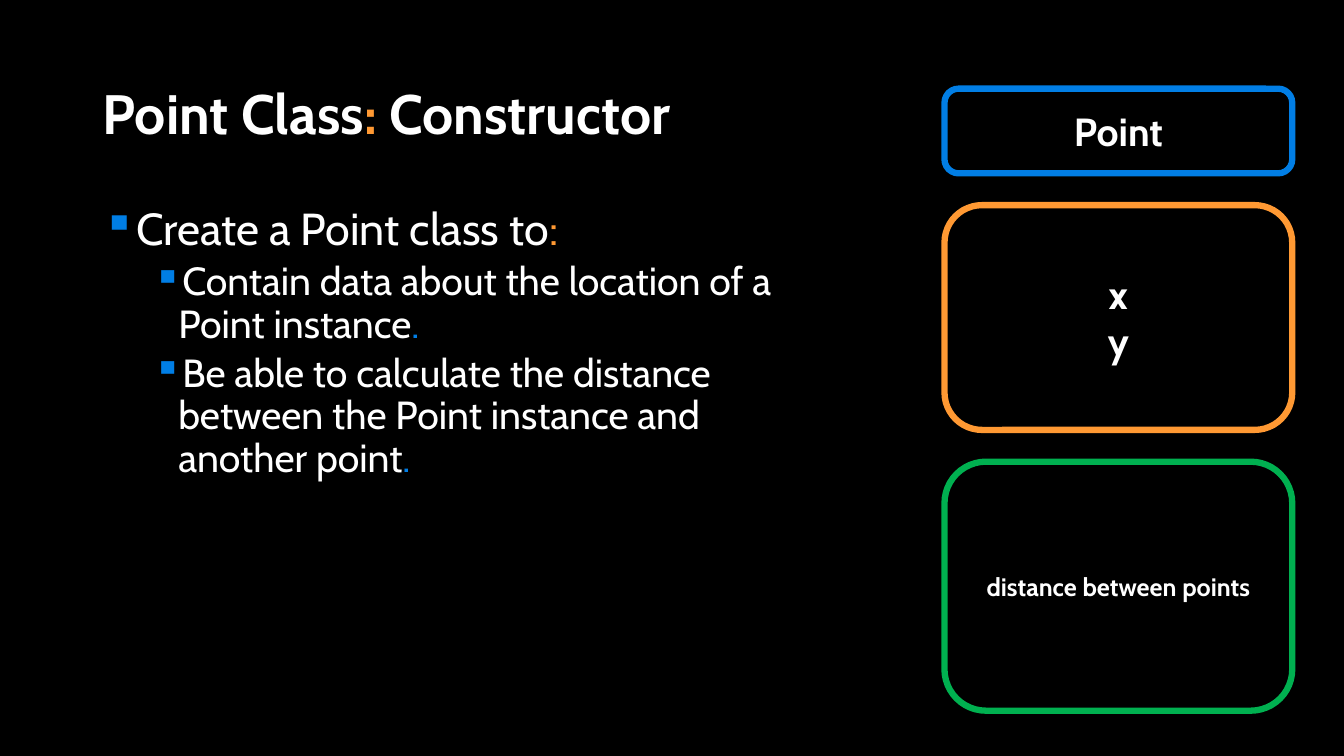
from lxml.etree import SubElement
from pptx import Presentation
from pptx.dml.color import RGBColor
from pptx.enum.shapes import MSO_SHAPE as Shape
from pptx.enum.text import MSO_ANCHOR as Anchor, PP_ALIGN as Align
from pptx.oxml.ns import qn
from pptx.util import Pt

COLORS = {
    "background": "000000",
    "text": "FFFFFF",
    "blue": "017EE5",
    "bullet": "007EE5",
    "orange": "FF9933",
    "green": "00B050",
}


def color(name):
    return RGBColor.from_string(COLORS[name])


class ClassSlide:
    """A dark page with a text side and a stack of outlined boxes."""

    font_name = "Cabin"
    line_width = 4.5

    def __init__(self, deck):
        self.page = deck.slides.add_slide(deck.slide_layouts[6])
        fill = self.page.background.fill
        fill.solid()
        fill.fore_color.rgb = color("background")

    def add_spans(self, para, spans, size, bold=False):
        """Fill a paragraph with (text, colour name) spans."""
        para.font.name = self.font_name
        para.font.size = Pt(size)
        para.font.bold = bold
        for text, color_name in spans:
            span = para.add_run()
            span.text = text
            span.font.color.rgb = color(color_name)

    def text_frame(self, left, top, width, height, anchor):
        box = self.page.shapes.add_textbox(Pt(left), Pt(top), Pt(width), Pt(height))
        frame = box.text_frame
        frame.word_wrap = True
        frame.vertical_anchor = anchor
        return frame

    def title(self, spans, *area):
        para = self.text_frame(*area, Anchor.MIDDLE).paragraphs[0]
        para.line_spacing = 0.9
        self.add_spans(para, spans, 39.6, bold=True)

    def bullets(self, items, *area):
        """Add a list of (level, spans) items."""
        frame = self.text_frame(*area, Anchor.TOP)
        for index, (level, spans) in enumerate(items):
            para = frame.add_paragraph() if index else frame.paragraphs[0]
            para.level = level
            para.line_spacing = 0.9
            para.space_before = Pt(5 if level else 10)
            self.add_bullet(para, indent=18 + 36 * level)
            self.add_spans(para, spans, 28 if level else 32)

    def add_bullet(self, para, indent):
        props = para._p.get_or_add_pPr()
        props.set("marL", str(Pt(indent)))
        props.set("indent", str(-Pt(18)))
        bullet_color = SubElement(props, qn("a:buClr"))
        SubElement(bullet_color, qn("a:srgbClr"), val=COLORS["bullet"])
        SubElement(props, qn("a:buChar"), char="▪")

    def outlined_box(self, lines, size, line_color, left, top, width, height):
        box = self.page.shapes.add_shape(
            Shape.ROUNDED_RECTANGLE, Pt(left), Pt(top), Pt(width), Pt(height))
        box.shadow.inherit = False
        box.fill.background()
        box.line.color.rgb = color(line_color)
        box.line.width = Pt(self.line_width)
        frame = box.text_frame
        frame.word_wrap = True
        frame.vertical_anchor = Anchor.MIDDLE
        for index, line in enumerate(lines):
            para = frame.add_paragraph() if index else frame.paragraphs[0]
            para.alignment = Align.CENTER
            self.add_spans(para, [(line, "text")], size, bold=True)


def main():
    deck = Presentation()
    deck.slide_width, deck.slide_height = Pt(960), Pt(540)
    slide = ClassSlide(deck)

    slide.title(
        [("Point Class", "text"), (":", "orange"), (" Constructor", "text")],
        66.24, 57.6, 828, 51.84)
    slide.bullets([
        (0, [("Create a Point class to", "text"), (":", "orange")]),
        (1, [("Contain data about the location of a Point instance", "text"),
             (".", "blue")]),
        (1, [("Be able to calculate the distance between the Point instance "
              "and another point", "text"), (".", "blue")]),
    ], 66.24, 144, 526.32, 380.88)

    top, gap = 63.36, 22.7
    for lines, size, line_color, height in [
        (["Point"], 28, "blue", 60.48),
        (["x", "y"], 28, "orange", 160.56),
        (["distance between points"], 18, "green", 177.84),
    ]:
        slide.outlined_box(lines, size, line_color, 674.64, top, 248.4, height)
        top += height + gap

    deck.save("out.pptx")


if __name__ == "__main__":
    main()
